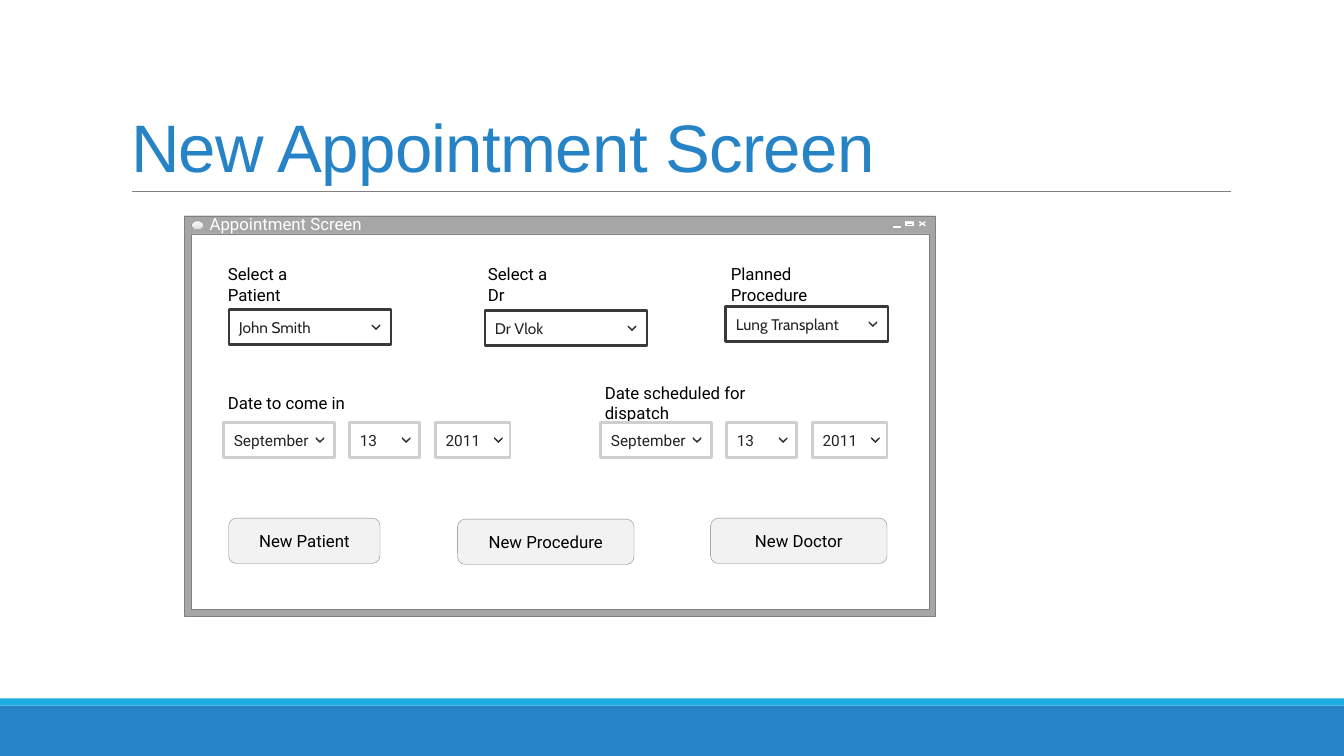
"""Builds the appointment screen slide on a grid of 160 columns by 90 rows."""
from dataclasses import dataclass

from pptx import Presentation, util as u
from pptx.dml.color import RGBColor
from pptx.enum import shapes, text
from pptx.oxml import parse_xml
from pptx.oxml.ns import nsdecls

COLS, ROWS = 160, 90
GREY, WHITE, BLACK = "808080", "FFFFFF", "000000"
RECT = shapes.MSO_SHAPE.RECTANGLE

prs = Presentation()
prs.slide_width, prs.slide_height = u.Inches(13.33), u.Inches(7.5)
s = prs.slides.add_slide(prs.slide_layouts[6])


@dataclass
class Box:
    """A rectangle in grid columns and rows."""
    x: float
    y: float
    w: float
    h: float


@dataclass
class Style:
    """Font and placement of one line of text."""
    font: str
    size: float
    color: str
    align: text.PP_ALIGN = text.PP_ALIGN.LEFT
    anchor: text.MSO_ANCHOR = text.MSO_ANCHOR.MIDDLE
    insets: tuple[float, float, float, float] = (1.2, 0.6, 1.2, 0.6)


@dataclass
class Field:
    """A drop-down field; arrow is its distance from the right edge."""
    value: str
    x: float
    y: float
    w: float
    arrow: float
    border: str
    weight: float
    font: str


def cx(cols: float) -> int:
    """Width of a number of columns."""
    return round(prs.slide_width * cols / COLS)


def cy(rows: float) -> int:
    """Height of a number of rows."""
    return round(prs.slide_height * rows / ROWS)


def rgb(color: str) -> RGBColor:
    """Colour from a hex string."""
    return RGBColor.from_string(color)


def place(b: Box) -> tuple[int, int, int, int]:
    """Left, top, width and height of a box."""
    return cx(b.x), cy(b.y), cx(b.w), cy(b.h)


def paint(sp, fill: str | None, line: str | None, weight: float) -> None:
    """Set fill and outline, without shadow."""
    sp.shadow.inherit = False
    if fill:
        sp.fill.solid()
        sp.fill.fore_color.rgb = rgb(fill)
    else:
        sp.fill.background()
    if line:
        sp.line.color.rgb = rgb(line)
        sp.line.width = u.Pt(weight)
    else:
        sp.line.fill.background()


def shape(b: Box, fill: str | None, line: str | None = None,
          weight: float = 0.25, kind=RECT):
    """Add a preset shape."""
    sp = s.shapes.add_shape(kind, *place(b))
    paint(sp, fill, line, weight)
    return sp


def write(sp, words: str, st: Style, wrap: bool = True):
    """Put styled text in a shape and return its paragraph."""
    tf = sp.text_frame
    tf.word_wrap, tf.vertical_anchor = wrap, st.anchor
    left, top, right, bottom = st.insets
    tf.margin_left, tf.margin_right = cx(left), cx(right)
    tf.margin_top, tf.margin_bottom = cy(top), cy(bottom)
    p = tf.paragraphs[0]
    p.text, p.alignment = words, st.align
    f = p.runs[0].font
    f.name, f.size, f.color.rgb = st.font, u.Pt(st.size), rgb(st.color)
    return p


def textbox(b: Box, words: str, st: Style, wrap: bool = True):
    """Add a text box and return its paragraph."""
    return write(s.shapes.add_textbox(*place(b)), words, st, wrap)


def line(x1: float, y1: float, x2: float, y2: float, color: str, weight: float) -> None:
    """Add a straight line."""
    c = s.shapes.add_connector(shapes.MSO_CONNECTOR.STRAIGHT, cx(x1), cy(y1), cx(x2), cy(y2))
    c.line.color.rgb, c.line.width = rgb(color), u.Pt(weight)
    c._element.spPr.append(parse_xml(f"<a:effectLst {nsdecls('a')}/>"))


def chevron(x: float, y: float) -> None:
    """Add a down arrow centred on a point."""
    outline = [(0.48, -0.33), (0.52, -0.15), (0, 0.36), (-0.52, -0.15), (-0.48, -0.33), (0, 0.12)]
    pts = [(cx(x + dx), cy(y + dy)) for dx, dy in outline]
    fb = s.shapes.build_freeform(*pts[0])
    fb.add_line_segments(pts[1:], close=True)
    paint(fb.convert_to_shape(), "2C2C2C", None, 0)


def field(f: Field) -> None:
    """Draw a drop-down field."""
    h = 4.2
    sp = shape(Box(f.x, f.y, f.w, h), WHITE, f.border, f.weight)
    write(sp, f.value, Style(f.font, 11, "232323"))
    chevron(f.x + f.w - f.arrow, f.y + h / 2)


def page() -> None:
    """Draw the title, its rule and the footer bands."""
    shape(Box(0, 84, COLS, 6), "2683C6")
    shape(Box(0, 83.16, COLS, 0.84), "1CADE4")
    line(15.72, 22.8, 146.52, 22.8, GREY, 0.5)
    st = Style("Arial", 48, "2683C6", anchor=text.MSO_ANCHOR.BOTTOM)
    p = textbox(Box(14.4, 3.72, 132, 19.08), "New Appointment Screen", st)
    p.line_spacing = 0.85
    p.runs[0].font._element.set("spc", "-50")


def window() -> None:
    """Draw the window frame and its title bar."""
    shape(Box(21.96, 25.68, 89.4, 47.64), "A6A6A6", GREY)
    shape(Box(22.8, 27.84, 87.84, 44.64), WHITE, GREY)
    st = Style("Roboto", 12, WHITE, insets=(0.6, 0.24, 1.2, 0.36))
    textbox(Box(24.36, 25.2, 26.16, 3.12), "Appointment Screen", st, False)
    for y1, y2 in ((26.4, 26.88), (26.88, 26.4)):
        line(109.44, y1, 110.16, y2, WHITE, 1)
    shape(Box(107.88, 26.4, 0.84, 0.48), None, WHITE, 1)
    for x, y in ((107.88, 26.4), (106.32, 26.88)):
        shape(Box(x, y, 0.84, 0.12), "919191", WHITE)
    icon = shape(Box(22.8, 26.28, 1.44, 1.08), WHITE, GREY, kind=shapes.MSO_SHAPE.OVAL)
    icon.fill.gradient()
    icon.fill.gradient_angle = 270
    for stop, at, color in zip(icon.fill.gradient_stops, (0.36, 0.91), ("F2F2F2", "D9D9D9")):
        stop.position, stop.color.rgb = at, rgb(color)


def form() -> None:
    """Draw the labels, fields and buttons."""
    label = Style("Roboto", 12, BLACK, insets=(1.2, 0.24, 1.2, 0.36))
    for words, x, y, w in (("Select a Patient", 25.92, 32.4, 12),
                           ("Select a Dr", 56.88, 32.4, 10.8),
                           ("Planned Procedure", 85.8, 32.4, 15.6),
                           ("Date to come in", 25.92, 46.56, 18),
                           ("Date scheduled for dispatch", 70.8, 46.56, 22.8)):
        textbox(Box(x, y, w, 3), words, label)
    for value, x, y in (("John Smith", 27.24, 36.84), ("Dr Vlok", 57.72, 36.96),
                        ("Lung Transplant", 86.4, 36.48)):
        field(Field(value, x, y, 19.32, 1.8, "393939", 1.75, "Cabin"))
    for left in (26.64, 71.52):
        for value, dx, w, arrow in (("September", 0, 13.2, 1.74), ("13", 15, 8.28, 1.56),
                                    ("2011", 25.2, 8.88, 1.38)):
            field(Field(value, left + dx, 50.28, w, arrow, "CFCFCF", 2, "Roboto"))
    st = Style("Roboto", 12, BLACK, text.PP_ALIGN.CENTER, insets=(1.2, 0, 1.2, 0.12))
    for words, x, y, w in (("New Patient", 27.24, 61.68, 18),
                           ("New Procedure", 54.48, 61.8, 21),
                           ("New Doctor", 84.6, 61.68, 21)):
        button = shape(Box(x, y, w, 5.4), "F2F2F2", GREY, kind=shapes.MSO_SHAPE.ROUNDED_RECTANGLE)
        write(button, words, st)


def main() -> None:
    """Build and save the slide."""
    page()
    window()
    form()
    prs.save("out.pptx")


if __name__ == "__main__":
    main()
